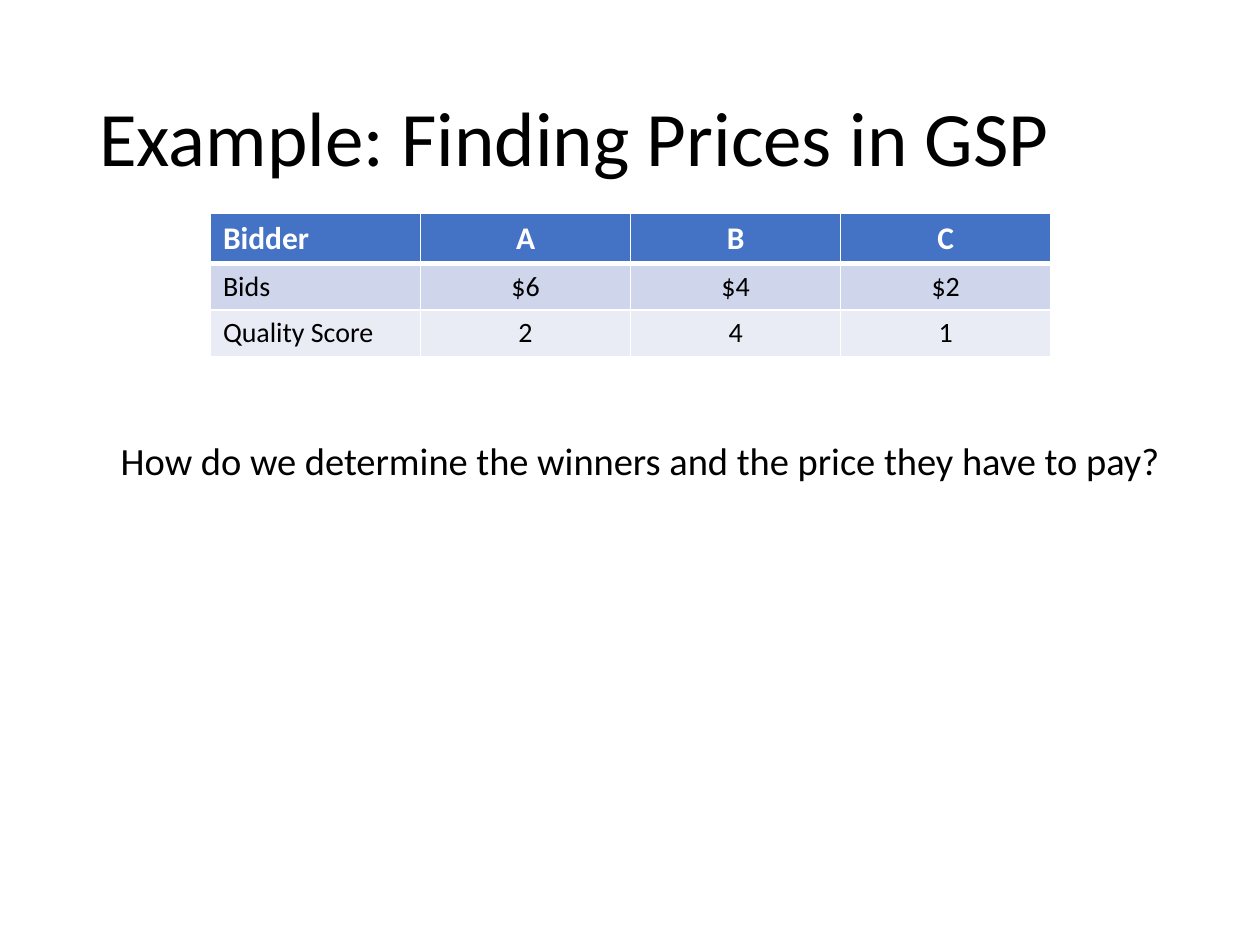
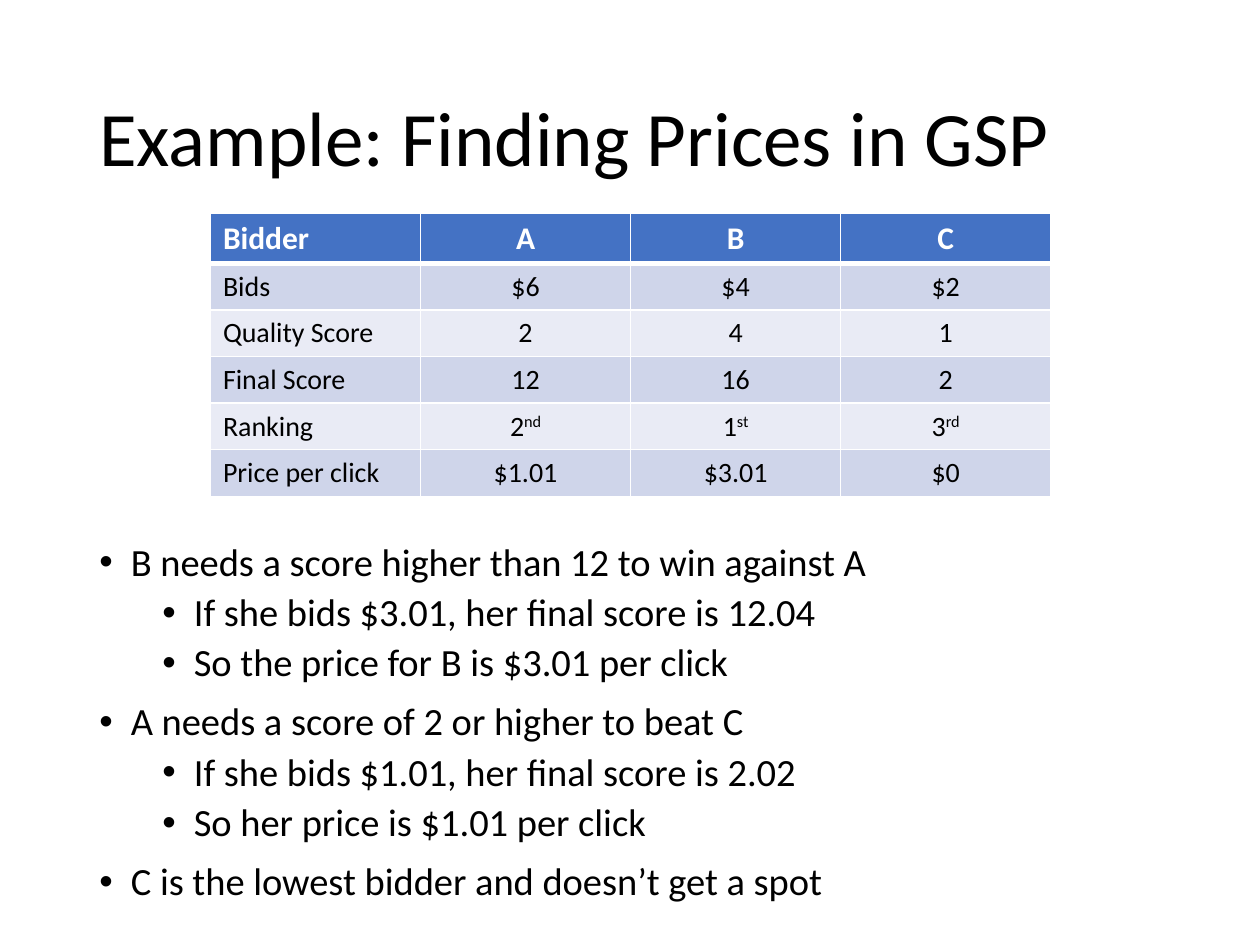
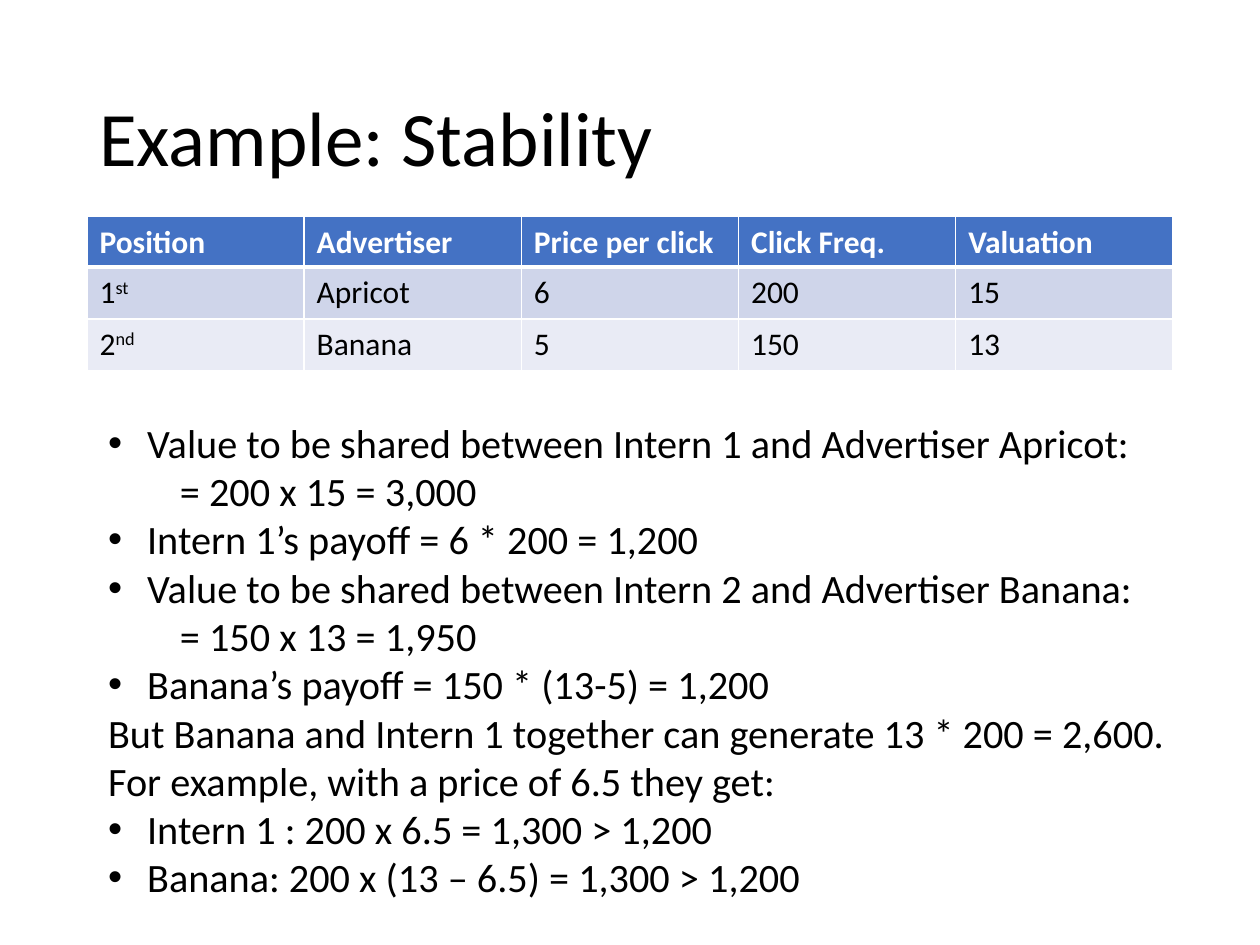
import pptx
import pptx.dml.color
import pptx.enum.text
import pptx.oxml.ns
import pptx.util
from lxml import etree

Inches = pptx.util.Inches
Pt = pptx.util.Pt

FONT = "Calibri"
COLORS = {"text": "000000", "white": "FFFFFF", "header": "4472C4",
          "odd": "CFD5EA", "even": "E9EBF5"}

BIDS = [
    ("Bidder", "A", "B", "C"),
    ("Bids", "$6", "$4", "$2"),
    ("Quality Score", "2", "4", "1"),
]
RESULTS = BIDS + [
    ("Final Score", "12", "16", "2"),
    ("Ranking", "2^nd", "1^st", "3^rd"),
    ("Price per click", "$1.01", "$3.01", "$0"),
]
POSITIONS = [
    ("Position", "Advertiser", "Price per click", "Click Freq.", "Valuation"),
    ("1^st", "Apricot", "6", "200", "15"),
    ("2^nd", "Banana", "5", "150", "13"),
]

BID_TABLE = {"area": (1.67, 1.69, 6.67), "size": 16, "row": 0.37, "centred": True}
POSITION_TABLE = {"area": (0.69, 1.72, 8.62), "size": 18, "row": 0.41, "centred": False}

LEVELS = {
    "plain": {"left": 0, "hang": 0, "before": 10},
    "point": {"left": 0.25, "hang": 0.25, "before": 10},
    "detail": {"left": 0.75, "hang": 0.25, "before": 5, "level": 1},
    "step": {"left": 0.31, "hang": 0.31, "before": 0},
    "formula": {"left": 0.57, "hang": 0, "before": 0},
    "remark": {"left": 0, "hang": 0, "before": 0},
}

SLIDES = [
    {
        "title": "Example: Finding Prices in GSP",
        "rows": BIDS, "table": BID_TABLE,
        "area": (0.86, 3.46, 8.62, 2.91), "size": 22, "spacing": 0.9,
        "body": [("plain", "How do we determine the winners and the price they have to pay?")],
    },
    {
        "title": "Example: Finding Prices in GSP",
        "rows": RESULTS, "table": BID_TABLE,
        "area": (0.69, 4.26, 8.62, 2.91), "size": 22, "spacing": 0.9,
        "body": [
            ("point", "B needs a score higher than 12 to win against A"),
            ("detail", "If she bids $3.01, her final score is 12.04"),
            ("detail", "So the price for B is $3.01 per click"),
            ("point", "A needs a score of 2 or higher to beat C"),
            ("detail", "If she bids $1.01, her final score is 2.02"),
            ("detail", "So her price is $1.01 per click"),
            ("point", "C is the lowest bidder and doesn’t get a spot"),
        ],
    },
    {
        "title": "Example: Stability",
        "rows": POSITIONS, "table": POSITION_TABLE,
        "area": (0.76, 3.27, 8.76, 3.97), "size": 23, "spacing": 1.0,
        "body": [
            ("step", "Value to be shared between Intern 1 and Advertiser Apricot:"),
            ("formula", "= 200 x 15 = 3,000"),
            ("step", "Intern 1’s payoff = 6 * 200 = 1,200"),
            ("step", "Value to be shared between Intern 2 and Advertiser Banana:"),
            ("formula", "= 150 x 13 = 1,950"),
            ("step", "Banana’s payoff = 150 * (13-5) = 1,200"),
            ("remark", "But Banana and Intern 1 together can generate 13 * 200 = 2,600. "
                       "For example, with a price of 6.5 they get:"),
            ("step", "Intern 1 : 200 x 6.5 = 1,300 > 1,200"),
            ("step", "Banana: 200 x (13 – 6.5) = 1,300 > 1,200"),
        ],
    },
]


def rgb(name):
    return pptx.dml.color.RGBColor.from_string(COLORS[name])


def add_element(parent, tag, **attributes):
    return etree.SubElement(parent, pptx.oxml.ns.qn(tag), attributes)


def set_font(paragraph, size, color="text", bold=False):
    paragraph.font.name = FONT
    paragraph.font.size = Pt(size)
    paragraph.font.bold = bold
    paragraph.font.color.rgb = rgb(color)


def add_text_box(page, area):
    box = page.shapes.add_textbox(*map(Inches, area))
    box.text_frame.word_wrap = True
    return box.text_frame


def add_title(page, text):
    frame = add_text_box(page, (0.69, 0.4, 8.62, 1.45))
    frame.vertical_anchor = pptx.enum.text.MSO_ANCHOR.MIDDLE
    paragraph = frame.paragraphs[0]
    paragraph.text = text
    paragraph.line_spacing = 0.9
    set_font(paragraph, 44)


def add_body(page, area, lines, size, spacing):
    frame = add_text_box(page, area)
    for index, (kind, text) in enumerate(lines):
        style = LEVELS[kind]
        paragraph = frame.add_paragraph() if index else frame.paragraphs[0]
        paragraph.text = text
        paragraph.level = style.get("level", 0)
        properties = paragraph._p.get_or_add_pPr()
        properties.set("marL", str(Inches(style["left"])))
        properties.set("indent", str(-Inches(style["hang"])))
        if style["hang"]:
            add_element(properties, "a:buFont", typeface="Arial")
            add_element(properties, "a:buChar", char="•")
        paragraph.line_spacing = spacing
        if index:
            paragraph.space_before = Pt(style["before"])
        set_font(paragraph, size)


def add_borders(cell, bottom):
    properties = cell._tc.get_or_add_tcPr()
    for side, width in (("L", 1), ("R", 1), ("T", 1), ("B", bottom)):
        line = add_element(properties, "a:ln" + side, w=str(Pt(width)))
        fill = add_element(line, "a:solidFill")
        add_element(fill, "a:srgbClr", val=COLORS["white"])


def fill_cell(cell, text, size, color, fill, bold, centred):
    add_borders(cell, 3 if bold else 1)
    cell.fill.solid()
    cell.fill.fore_color.rgb = rgb(fill)
    paragraph = cell.text_frame.paragraphs[0]
    main, _, ordinal = text.partition("^")
    paragraph.add_run().text = main
    if ordinal:
        span = paragraph.add_run()
        span.text = ordinal
        span.font._element.set("baseline", "30000")
    if centred:
        paragraph.alignment = pptx.enum.text.PP_ALIGN.CENTER
    set_font(paragraph, size, color, bold)


def add_grid(page, rows, area, size, row, centred):
    left, top, width = map(Inches, area)
    heights = [Inches(0.4)] + [Inches(row)] * (len(rows) - 1)
    table = page.shapes.add_table(len(rows), len(rows[0]), left, top, width, sum(heights)).table
    for r, values in enumerate(rows):
        table.rows[r].height = heights[r]
        header = r == 0
        fill = "header" if header else "odd" if r % 2 else "even"
        for c, text in enumerate(values):
            fill_cell(table.cell(r, c), text, 18 if header else size,
                      "white" if header else "text", fill, header, centred and c > 0)


def main():
    deck = pptx.Presentation()
    deck.slide_width, deck.slide_height = Inches(10), Inches(7.5)
    for content in SLIDES:
        page = deck.slides.add_slide(deck.slide_layouts[6])
        add_title(page, content["title"])
        add_grid(page, content["rows"], **content["table"])
        add_body(page, content["area"], content["body"], content["size"], content["spacing"])
    deck.save("out.pptx")


if __name__ == "__main__":
    main()
